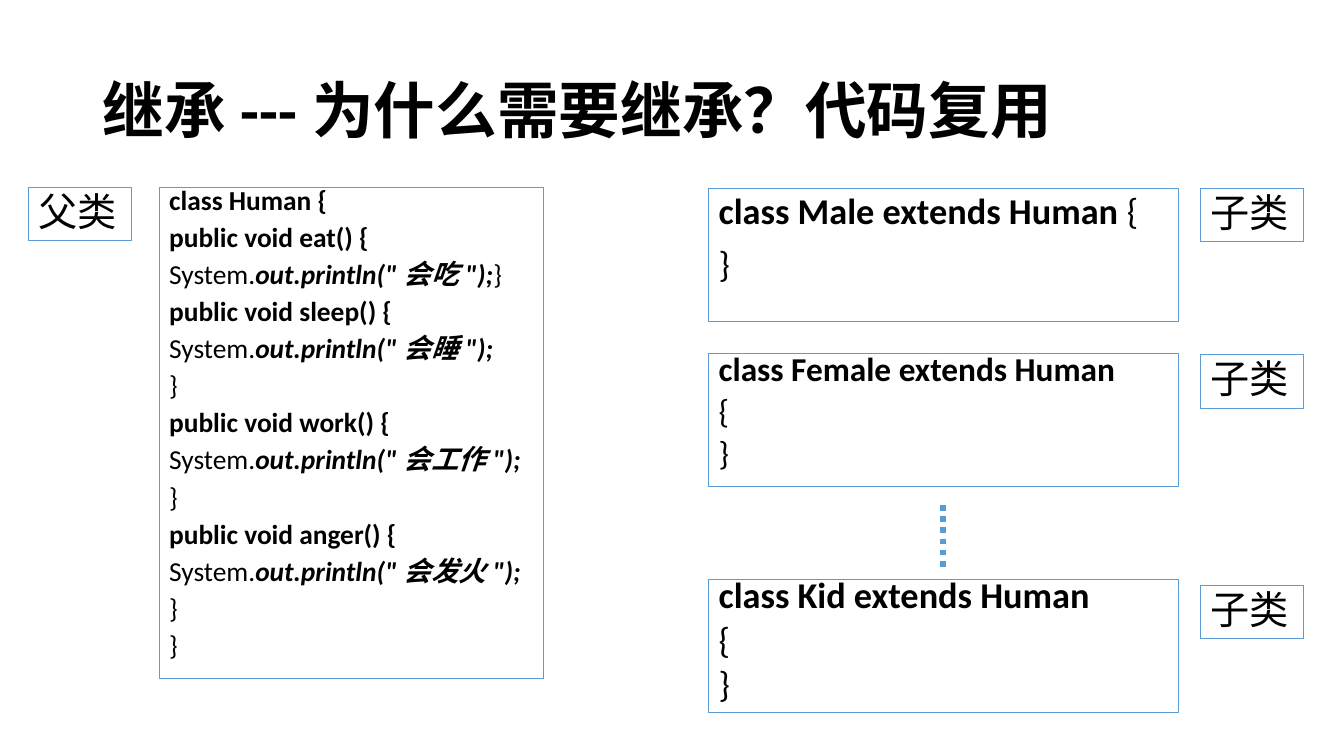
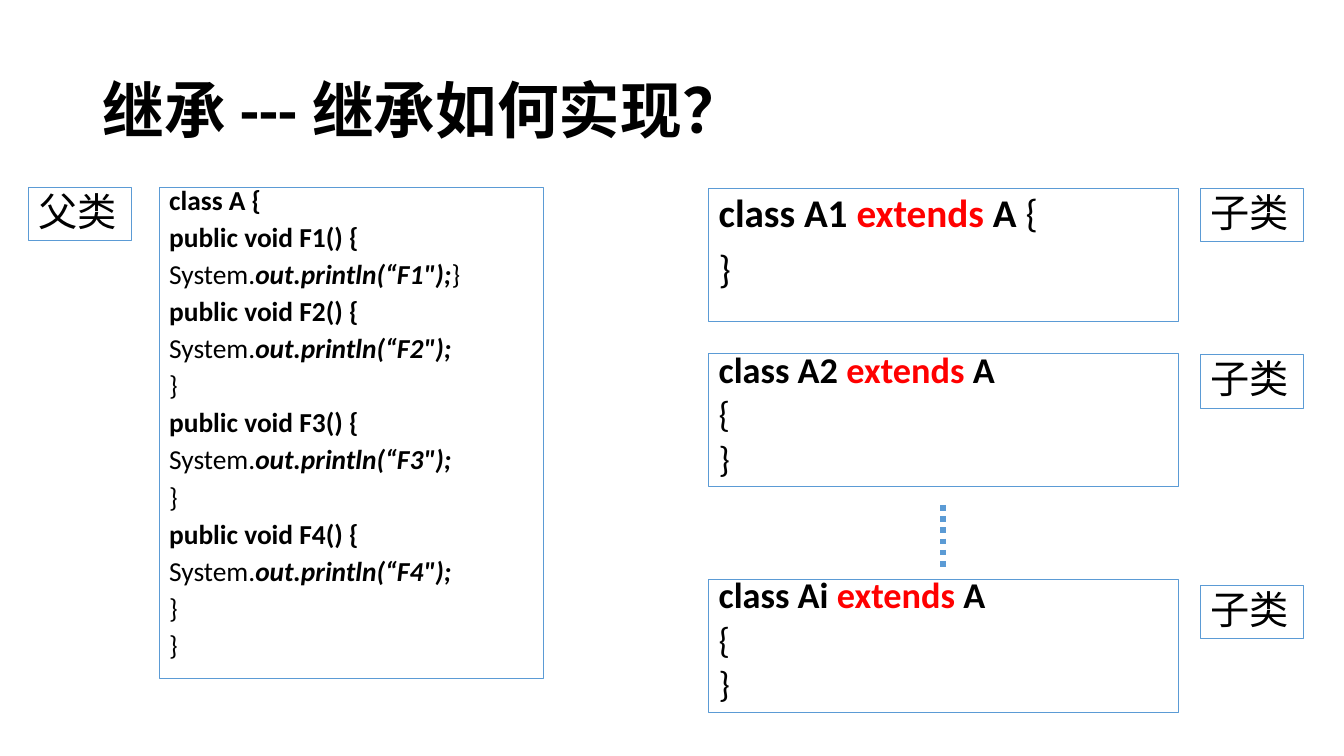
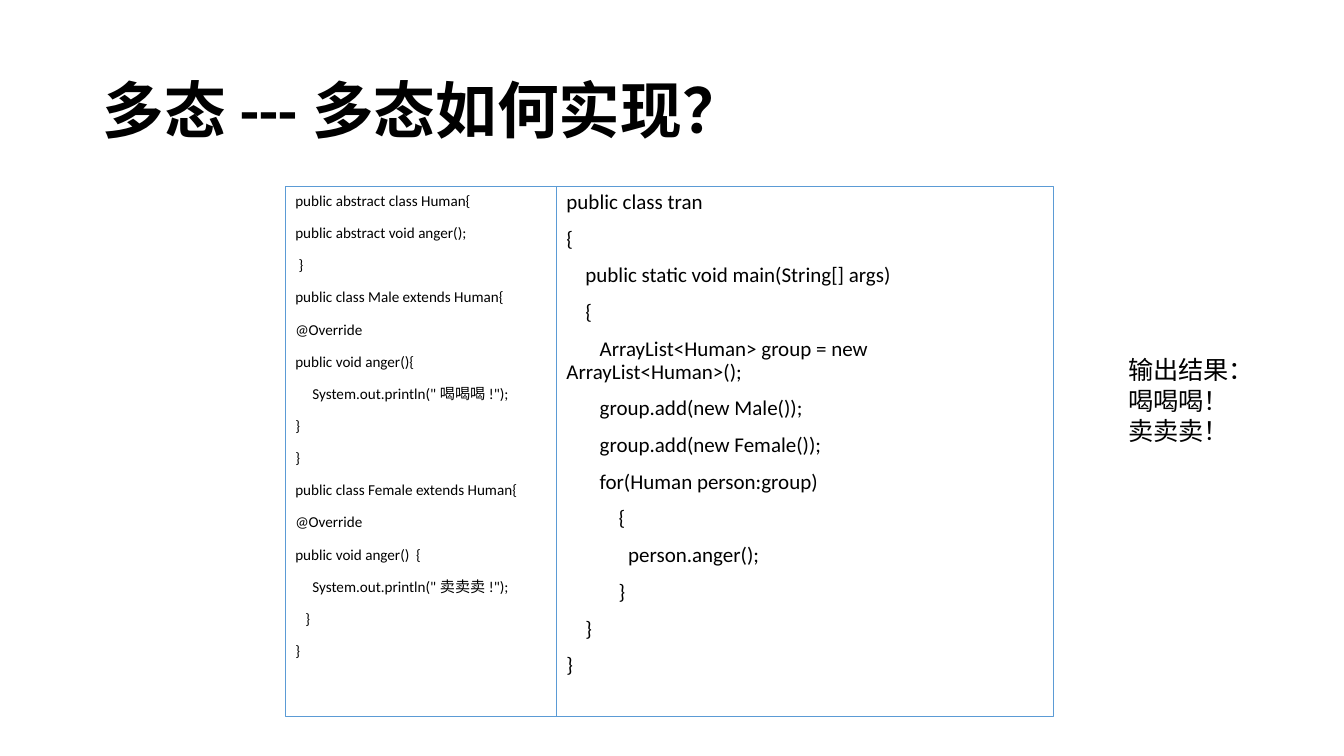
from lxml import etree
from pptx import Presentation
from pptx.dml.color import RGBColor
from pptx.enum.dml import MSO_LINE
from pptx.enum.shapes import MSO_CONNECTOR, MSO_SHAPE
from pptx.enum.text import MSO_ANCHOR, MSO_AUTO_SIZE, PP_ALIGN
from pptx.oxml.ns import qn
from pptx.util import Inches, Pt

RECTANGLE = MSO_SHAPE.RECTANGLE
STRAIGHT = MSO_CONNECTOR.STRAIGHT
DOTTED = MSO_LINE.ROUND_DOT
LEFT = PP_ALIGN.LEFT
TOP, MIDDLE = MSO_ANCHOR.TOP, MSO_ANCHOR.MIDDLE
NO_AUTOFIT = MSO_AUTO_SIZE.NONE

COLORS = {"text": "000000", "border": "5B9BD5", "keyword": "FF0000"}
FONT = "Calibri"
SPACE_WIDTH = 0.226  # width of one space, in ems
TITLE_ONLY = 5

# Run styles
PLAIN, BOLD, BOLD_ITALIC, KEYWORD = "plain", "bold", "bold italic", "keyword"

# Rows of subclasses: top of the code box, top of its label, line spacing
SUBCLASS_ROWS = [(1.87, 1.87, 0.9), (3.51, 3.52, 0.7), (5.75, 5.81, 0.7)]

HUMAN_CODE = [
    (0, "public abstract class Human{"),
    (0, "public abstract void anger();"),
    (1, "}"),
    (0, "public class Male extends Human{"),
    (0, "@Override"),
    (0, "public void anger(){"),
    (5, 'System.out.println("喝喝喝!");'),
    (0, "}"),
    (0, "}"),
    (0, "public class Female extends Human{"),
    (0, "@Override"),
    (0, "public void anger()  {"),
    (5, 'System.out.println("卖卖卖!");'),
    (3, "}"),
    (0, "}"),
]
MAIN_CODE = [
    (0, "public class tran"),
    (0, "{"),
    (4, "public static void main(String[] args)"),
    (4, "{"),
    (7, "ArrayList<Human> group = new ArrayList<Human>();"),
    (7, "group.add(new Male());"),
    (7, "group.add(new Female());"),
    (7, "for(Human person:group)"),
    (11, "{"),
    (13, "person.anger();"),
    (11, "}"),
    (4, "}"),
    (0, "}"),
]


def rgb(name):
    return RGBColor.from_string(COLORS[name])


def set_font(font, size, color="text"):
    font.name = FONT
    font.size = Pt(size)
    font.color.rgb = rgb(color)


def add_title_slide(prs, text):
    slide = prs.slides.add_slide(prs.slide_layouts[TITLE_ONLY])
    title = slide.shapes.title
    title.left, title.top = Inches(0.92), Inches(0.4)
    title.width, title.height = Inches(11.5), Inches(1.45)
    frame = title.text_frame
    frame.text = text
    frame.vertical_anchor = MIDDLE
    frame.auto_size = NO_AUTOFIT
    paragraph = frame.paragraphs[0]
    paragraph.alignment = LEFT
    paragraph.line_spacing = 0.9
    set_font(paragraph.font, 44)
    paragraph.font.bold = True
    return slide


def fill_lines(frame, lines, size, spacing=1.0, before=0):
    """Write lines of (indent in spaces, [(text, style), ...])."""
    for index, (indent, runs) in enumerate(lines):
        paragraph = frame.add_paragraph() if index else frame.paragraphs[0]
        paragraph.alignment = LEFT
        paragraph.line_spacing = spacing
        paragraph.space_before = Pt(before)
        set_font(paragraph.font, size)
        if indent:
            first_line = Pt(indent * SPACE_WIDTH * size)
            paragraph._p.get_or_add_pPr().set("indent", str(int(first_line)))
        for text, style in runs:
            run = paragraph.add_run()
            run.text = text
            if style != PLAIN:
                run.font.bold = True
            if style == BOLD_ITALIC:
                run.font.italic = True
            if style == KEYWORD:
                run.font.color.rgb = rgb("keyword")


def add_box(slide, left, top, width, height, lines, size, spacing):
    box = slide.shapes.add_shape(
        RECTANGLE, Inches(left), Inches(top), Inches(width), Inches(height))
    box.shadow.inherit = False
    box.fill.background()
    box.line.color.rgb = rgb("border")
    box.line.width = Pt(0.75)
    box.text_frame.word_wrap = True
    box.text_frame.vertical_anchor = TOP
    fill_lines(box.text_frame, lines, size, spacing, before=10)


def add_label(slide, left, top, text):
    add_box(slide, left, top, 1.02, 0.53, plain_code([(0, text)]), 28, 0.9)


def add_ellipsis_line(slide):
    line = slide.shapes.add_connector(
        STRAIGHT, Inches(9.35), Inches(5.01), Inches(9.35), Inches(5.64))
    line.line.color.rgb = rgb("border")
    line.line.width = Pt(4)
    line.line.dash_style = DOTTED
    etree.SubElement(line._element.spPr, qn("a:effectLst"))


def plain_code(lines):
    return [(indent, [(text, PLAIN)]) for indent, text in lines]


def parent_code(class_name, methods):
    """Lines of the parent class; methods are (name, quoted argument)."""
    closing = (0, [("}", PLAIN)])
    lines = [(0, [(f"class {class_name} {{", BOLD)])]
    for index, (method, argument) in enumerate(methods):
        output = [("System.", PLAIN), (f"out.println({argument});", BOLD_ITALIC)]
        lines.append((0, [(f"public void {method}() {{", BOLD)]))
        if index == 0:  # the first method closes on its own line of output
            lines.append((0, output + closing[1]))
        else:
            lines += [(0, output), closing]
    return lines + [closing]


def subclass_code(name, parent, keyword_style, brace_on_first_line):
    header = [(f"class {name} ", BOLD), ("extends", keyword_style),
              (f" {parent}", BOLD)]
    if brace_on_first_line:
        rows = [header + [(" ", BOLD), ("{", PLAIN)]]
    else:
        rows = [header, [("{", PLAIN)]]
    return [(0, runs) for runs in rows + [[("}", PLAIN)]]]


def add_inheritance_slide(prs, title, parent, methods, subclasses, keyword_style):
    slide = add_title_slide(prs, title)
    # Parent class
    add_label(slide, 0.28, 1.86, "父类")
    add_box(slide, 1.58, 1.86, 3.81, 4.87,
            parent_code(parent, methods), 19.6, 0.7)
    # Subclasses
    for index, (name, size) in enumerate(subclasses):
        box_top, label_top, spacing = SUBCLASS_ROWS[index]
        code = subclass_code(name, parent, keyword_style, index == 0)
        add_box(slide, 7.03, box_top, 4.66, 1.32, code, size, spacing)
        add_label(slide, 11.91, label_top, "子类")
    add_ellipsis_line(slide)


def add_polymorphism_slide(prs):
    slide = add_title_slide(prs, "多态---多态如何实现？")
    # Classes and main program
    add_box(slide, 2.83, 1.85, 2.69, 5.26, plain_code(HUMAN_CODE), 10.8, 1.0)
    add_box(slide, 5.52, 1.85, 4.93, 5.26, plain_code(MAIN_CODE), 15, 0.9)
    # Program output
    output = slide.shapes.add_textbox(
        Inches(11.09), Inches(3.47), Inches(1.46), Inches(1.01))
    output.text_frame.word_wrap = False
    result = [(0, text) for text in ("输出结果：", "喝喝喝！", "卖卖卖！")]
    fill_lines(output.text_frame, plain_code(result), 18)


def main():
    prs = Presentation()
    prs.slide_width, prs.slide_height = Inches(13.33), Inches(7.5)
    add_inheritance_slide(
        prs, "继承---为什么需要继承？代码复用", "Human",
        [("eat", '"会吃"'), ("sleep", '"会睡"'),
         ("work", '"会工作"'), ("anger", '"会发火"')],
        [("Male", 25.9), ("Female", 23.8), ("Kid", 25.9)], BOLD)
    add_inheritance_slide(
        prs, "继承---继承如何实现？", "A",
        [(f"F{number}", f'“F{number}"') for number in range(1, 5)],
        [("A1", 28), ("A2", 25.9), ("Ai", 25.9)], KEYWORD)
    add_polymorphism_slide(prs)
    prs.save("out.pptx")


if __name__ == "__main__":
    main()
